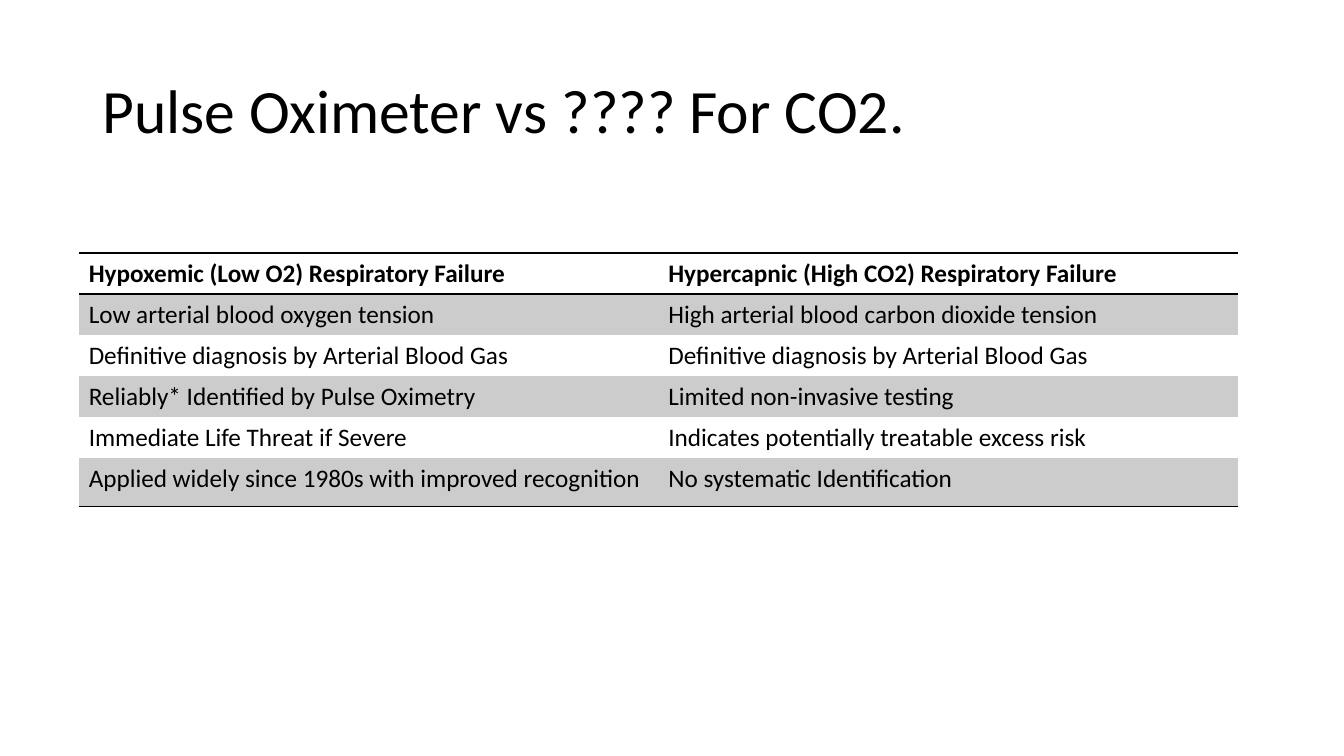
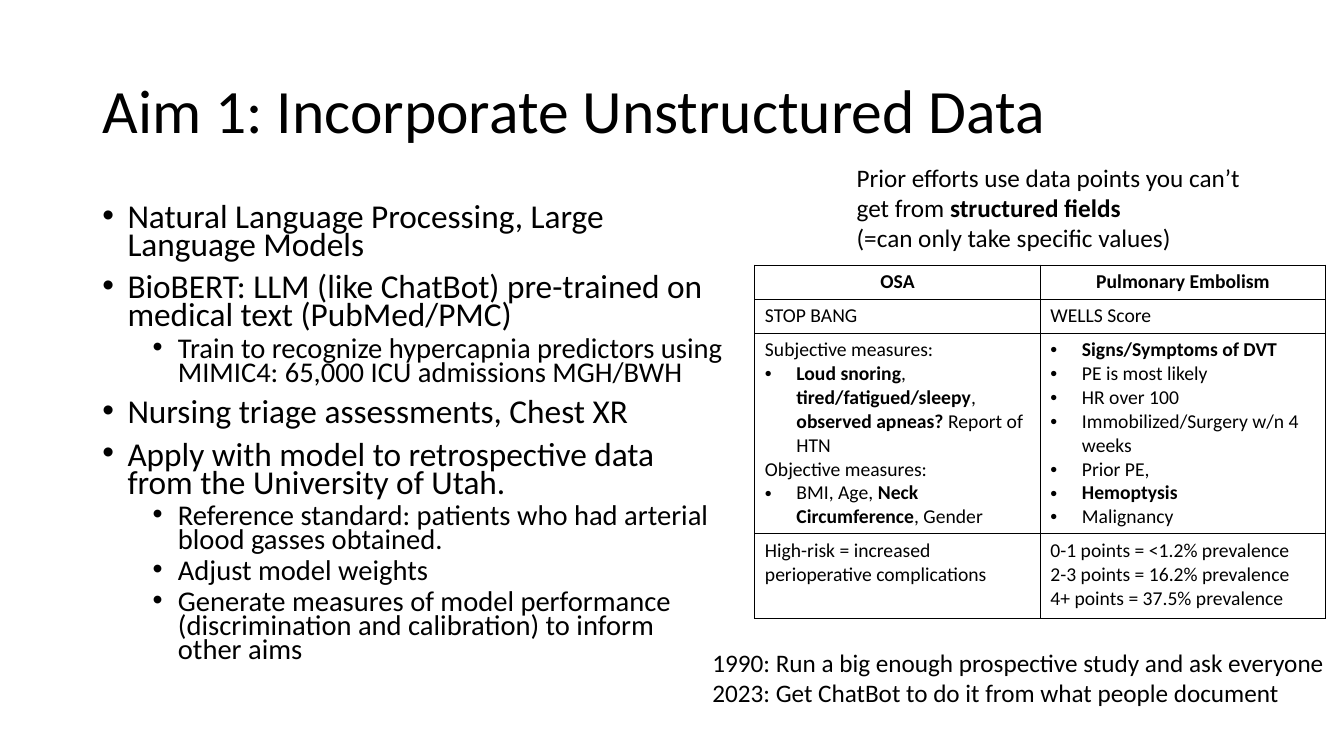
"""Build two slides on hypercapnic respiratory failure and unstructured data."""
from lxml import etree
from pptx import Presentation
from pptx.dml.color import RGBColor
from pptx.enum import text
from pptx.oxml import ns
from pptx.util import Pt

COLORS = {"ink": "000000", "band": "CCCCCC"}
FONT = "Calibri"


def write(frame, lines, size, sub_size=None, hanging=18):
    """Write (level, text) lines; level 0 is plain and ** switches bold."""
    frame.word_wrap = True
    for index, (level, words) in enumerate(lines):
        paragraph = frame.add_paragraph() if index else frame.paragraphs[0]
        if level:
            properties = paragraph._p.get_or_add_pPr()
            properties.set("marL", str(Pt(hanging + 36 * (level - 1))))
            properties.set("indent", str(-Pt(hanging)))
            etree.SubElement(properties, ns.qn("a:buFont"), typeface="Arial")
            etree.SubElement(properties, ns.qn("a:buChar"), char="•")
        for part, wording in enumerate(words.split("**")):
            if wording:
                run = paragraph.add_run()
                run.text = wording
                run.font.name = FONT
                run.font.size = Pt(sub_size if level == 2 else size)
                run.font.bold = part % 2 == 1
                run.font.color.rgb = RGBColor.from_string(COLORS["ink"])


def add_grid(slide, place, heights, rows, size, rules, shaded=(), upright=False):
    """Add a table with the given horizontal rules, shaded rows and vertical rules."""
    left, top, width = place
    columns = len(rows[0])
    table = slide.shapes.add_table(len(rows), columns, Pt(left), Pt(top),
                                   Pt(width), Pt(sum(heights))).table
    table.first_row = table.horz_banding = False
    for column in table.columns:
        column.width = Pt(width / columns)
    for r, (height, entries) in enumerate(zip(heights, rows)):
        table.rows[r].height = Pt(height)
        drawn = {"lnL": upright, "lnR": upright, "lnT": r in rules, "lnB": r + 1 in rules}
        for c, lines in enumerate(entries):
            cell = table.cell(r, c)
            write(cell.text_frame, lines, size, hanging=22.5)
            properties = cell._tc.get_or_add_tcPr()
            for side, visible in drawn.items():
                border = etree.SubElement(properties, ns.qn("a:" + side), w=str(Pt(1)))
                fill = etree.SubElement(border, ns.qn("a:solidFill" if visible else "a:noFill"))
                if visible:
                    etree.SubElement(fill, ns.qn("a:srgbClr"), val=COLORS["ink"])
            if r in shaded:
                cell.fill.solid()
                cell.fill.fore_color.rgb = RGBColor.from_string(COLORS["band"])
            else:
                cell.fill.background()
    return table


deck = Presentation()
deck.slide_width, deck.slide_height = Pt(960), Pt(540)
slides = []
for heading in ("Pulse Oximeter vs ???? For CO2.", "Aim 1: Incorporate Unstructured Data"):
    slide = deck.slides.add_slide(deck.slide_layouts[5])
    title = slide.shapes.title
    title.left, title.top, title.width, title.height = Pt(66), Pt(28.75), Pt(828), Pt(104.4)
    write(title.text_frame, [(0, heading)], 44)
    title.text_frame.vertical_anchor = text.MSO_ANCHOR.MIDDLE
    title.text_frame.paragraphs[0].alignment = text.PP_ALIGN.LEFT
    title.text_frame.paragraphs[0].line_spacing = 0.9
    slides.append(slide)
comparison, aim = slides

failure_types = [
    ("**Hypoxemic (Low O2) Respiratory Failure**", "**Hypercapnic (High CO2) Respiratory Failure**"),
    ("Low arterial blood oxygen tension", "High arterial blood carbon dioxide tension"),
    ("Definitive diagnosis by Arterial Blood Gas", "Definitive diagnosis by Arterial Blood Gas"),
    ("Reliably* Identified by Pulse Oximetry", "Limited non-invasive testing"),
    ("Immediate Life Threat if Severe", "Indicates potentially treatable excess risk"),
    ("Applied widely since 1980s with improved recognition", "No systematic Identification"),
]
add_grid(comparison, (56.2, 180.7, 828), [29.3] * 5 + [34.5],
         [[[(0, entry)] for entry in row] for row in failure_types],
         18, rules=(0, 1, 6), shaded=(1, 3, 5))

plan = aim.shapes.add_textbox(Pt(66), Pt(144), Pt(458), Pt(342.7)).text_frame
plan_lines = [
    (1, "Natural Language Processing, Large Language Models"),
    (1, "BioBERT: LLM (like ChatBot) pre-trained on medical text (PubMed/PMC)"),
    (2, "Train to recognize hypercapnia predictors using MIMIC4: 65,000 ICU admissions MGH/BWH"),
    (1, "Nursing triage assessments, Chest XR"),
    (1, "Apply with model to retrospective data from the University of Utah."),
    (2, "Reference standard: patients who had arterial blood gasses obtained."),
    (2, "Adjust model weights"),
    (2, "Generate measures of model performance (discrimination and calibration) "
        "to inform other aims"),
]
write(plan, plan_lines, 23.8, sub_size=20.4)
for index, (paragraph, (level, _)) in enumerate(zip(plan.paragraphs, plan_lines)):
    paragraph.line_spacing = 0.7
    if index:
        paragraph.space_before = Pt(10 if level == 1 else 5)

risk_scores = [
    [[(0, "**OSA**")], [(0, "**Pulmonary Embolism**")]],
    [[(0, "STOP BANG")], [(0, "WELLS Score")]],
    [[(0, "Subjective measures:"),
      (1, "**Loud snoring**, **tired/fatigued/sleepy**, **observed apneas? **Report of HTN"),
      (0, "Objective measures:"),
      (1, "BMI, Age, **Neck Circumference**, Gender")],
     [(1, "**Signs/Symptoms of DVT**"),
      (1, "PE is most likely"),
      (1, "HR over 100"),
      (1, "Immobilized/Surgery w/n 4 weeks"),
      (1, "Prior PE,"),
      (1, "**Hemoptysis**"),
      (1, "Malignancy")]],
    [[(0, "High-risk = increased perioperative complications")],
     [(0, "0-1 points = <1.2% prevalence"),
      (0, "2-3 points = 16.2% prevalence"),
      (0, "4+ points = 37.5% prevalence")]],
]
scores = add_grid(aim, (539.2, 189.4, 407.8), [24.3, 24.3, 143.3, 60.5], risk_scores,
                  14, rules=range(5), upright=True)
for column in range(2):
    scores.cell(0, column).text_frame.paragraphs[0].alignment = text.PP_ALIGN.CENTER

remarks = [
    ((604.8, 112.3, 296.6, 72.7),
     ["Prior efforts use data points you can’t get from **structured fields**",
      "(=can only take specific values)"]),
    ((501.8, 458.6, 458, 50.9),
     ["1990: Run a big enough prospective study and ask everyone",
      "2023: Get ChatBot to do it from what people document"]),
]
for place, lines in remarks:
    remark = aim.shapes.add_textbox(*map(Pt, place))
    write(remark.text_frame, [(0, line) for line in lines], 18)

deck.save("out.pptx")
